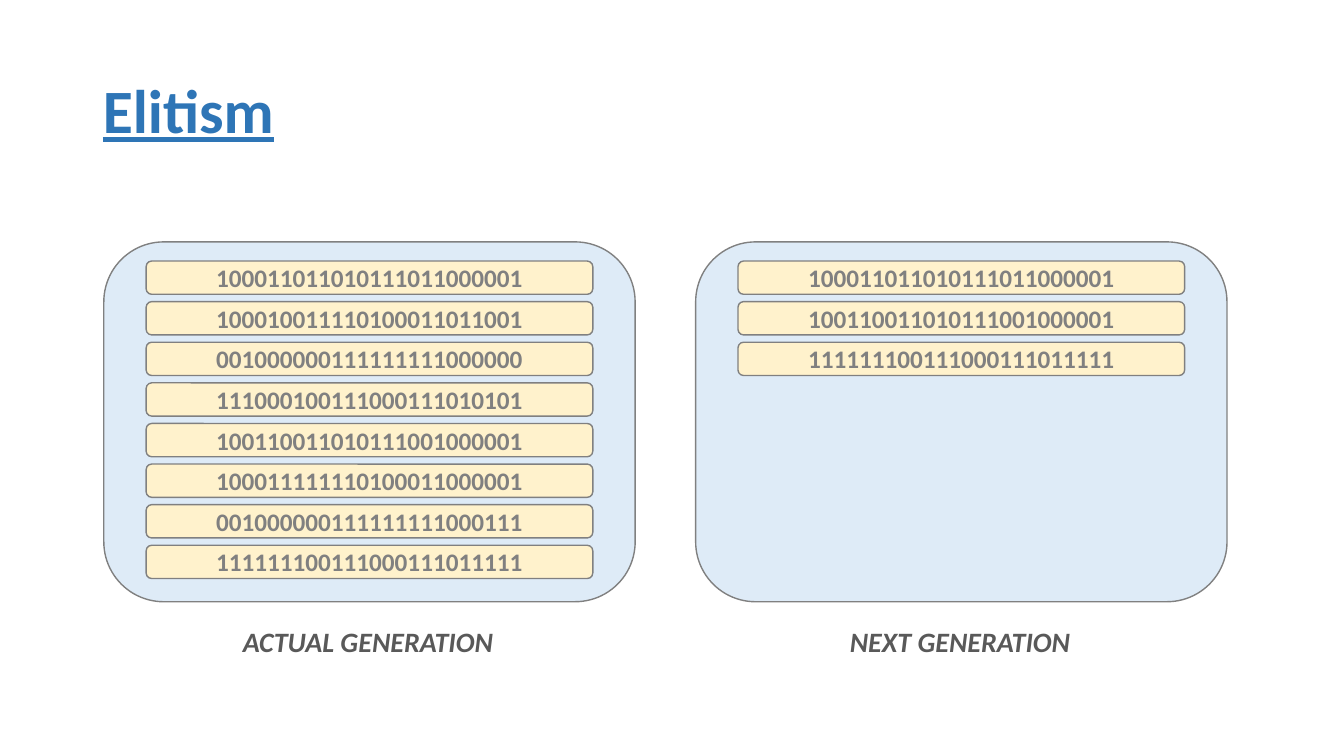
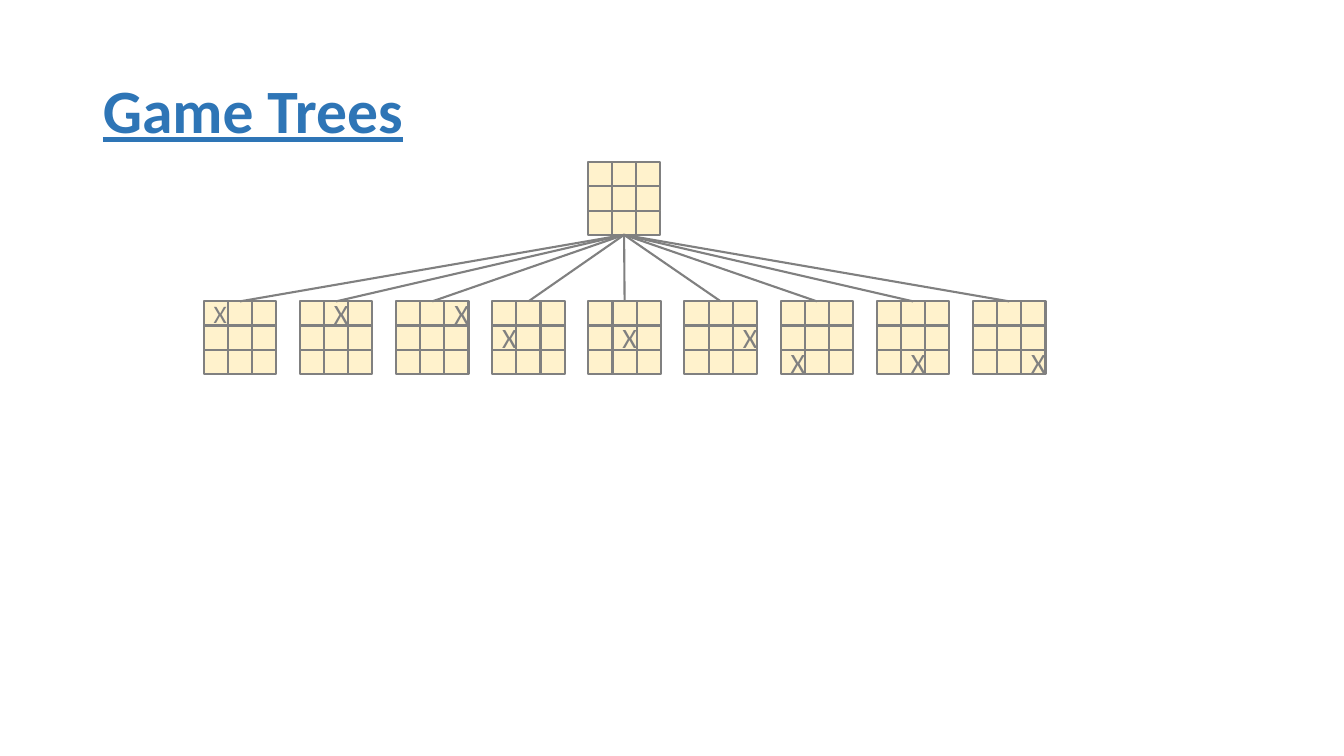
import pptx
import pptx.dml.color
import pptx.enum.shapes
import pptx.enum.text
import pptx.oxml.ns
import pptx.util
from lxml import etree

Inches = pptx.util.Inches
Pt = pptx.util.Pt
RGBColor = pptx.dml.color.RGBColor
Shape = pptx.enum.shapes.MSO_SHAPE
Align = pptx.enum.text.PP_ALIGN
Anchor = pptx.enum.text.MSO_ANCHOR
AutoSize = pptx.enum.text.MSO_AUTO_SIZE

# Shared style
FONT = "Calibri"
TITLE_BLUE = RGBColor(0x2E, 0x75, 0xB6)
PANEL_BLUE = RGBColor(0xDE, 0xEB, 0xF7)
CREAM = RGBColor(0xFF, 0xF2, 0xCC)
GRAY = RGBColor(0x80, 0x80, 0x80)
CAPTION_GRAY = RGBColor(0x59, 0x59, 0x59)

deck = pptx.Presentation()
deck.slide_width = Inches(13.33)
deck.slide_height = Inches(7.5)


def add_titled_page(text):
    page = deck.slides.add_slide(deck.slide_layouts[5])
    title = page.shapes.title
    title.left, title.top = Inches(0.92), Inches(0.4)
    title.width, title.height = Inches(11.5), Inches(1.45)
    frame = title.text_frame
    frame.auto_size = AutoSize.NONE
    frame.vertical_anchor = Anchor.MIDDLE
    para = frame.paragraphs[0]
    para.alignment = Align.LEFT
    para.line_spacing = 0.9
    span = para.add_run()
    span.text = text
    span.font.name = FONT
    span.font.size = Pt(44)
    span.font.bold = True
    span.font.underline = True
    span.font.color.rgb = TITLE_BLUE
    return page


def add_box(page, kind, left, top, width, height, fill, line_width,
            text="", size=18, bold=False):
    box = page.shapes.add_shape(
        kind, Inches(left), Inches(top), Inches(width), Inches(height))
    box.shadow.inherit = False
    box.fill.solid()
    box.fill.fore_color.rgb = fill
    box.line.color.rgb = GRAY
    box.line.width = Pt(line_width)
    if text:
        box.text_frame.vertical_anchor = Anchor.MIDDLE
        para = box.text_frame.paragraphs[0]
        para.alignment = Align.CENTER
        span = para.add_run()
        span.text = text
        span.font.name = FONT
        span.font.size = Pt(size)
        span.font.bold = bold
        span.font.color.rgb = GRAY


# Slide 1: two generations of bit strings
page = add_titled_page("Elitism")

PANEL_TOP, PANEL_WIDTH, PANEL_HEIGHT = 2.4, 5.27, 3.57
BAR_INDENT, BAR_TOP, BAR_WIDTH, BAR_HEIGHT = 0.42, 2.59, 4.43, 0.33
BAR_STEP = (5.41 - BAR_TOP) / 7

actual = [
    "100011011010111011000001",
    "100010011110100011011001",
    "001000000111111111000000",
    "111000100111000111010101",
    "100110011010111001000001",
    "100011111110100011000001",
    "001000000111111111000111",
    "111111100111000111011111",
]
survivors = [actual[0], actual[4], actual[7]]
generations = [
    (1.03, actual, "ACTUAL GENERATION", 2.71),
    (6.9, survivors, "NEXT GENERATION", 2.41),
]

for left, strings, caption, caption_width in generations:
    add_box(page, Shape.ROUNDED_RECTANGLE, left, PANEL_TOP,
            PANEL_WIDTH, PANEL_HEIGHT, PANEL_BLUE, 1)
    for row, bits in enumerate(strings):
        add_box(page, Shape.ROUNDED_RECTANGLE, left + BAR_INDENT,
                BAR_TOP + row * BAR_STEP, BAR_WIDTH, BAR_HEIGHT,
                CREAM, 1, bits, bold=True)

    # Caption centred under its panel
    caption_left = left + (PANEL_WIDTH - caption_width) / 2
    label = page.shapes.add_textbox(
        Inches(caption_left), Inches(6.15), Inches(caption_width), Inches(0.44))
    label.text_frame.word_wrap = False
    label.text_frame.auto_size = AutoSize.SHAPE_TO_FIT_TEXT
    span = label.text_frame.paragraphs[0].add_run()
    span.text = caption
    span.font.name = FONT
    span.font.size = Pt(20)
    span.font.bold = True
    span.font.italic = True
    span.font.color.rgb = CAPTION_GRAY

# Slide 2: empty board and its nine first moves
page = add_titled_page("Game Trees")

CELL = 0.24
ROOT_LEFT, ROOT_TOP = 5.83, 1.61
CHILD_LEFT, CHILD_TOP = 2.02, 2.99
CHILD_STEP = (9.65 - CHILD_LEFT) / 8

# Each board: left, top, index of the marked cell
boards = [(ROOT_LEFT, ROOT_TOP, None)]
boards += [(CHILD_LEFT + move * CHILD_STEP, CHILD_TOP, move) for move in range(9)]

for left, top, move in boards:
    for cell in range(9):
        row, column = divmod(cell, 3)
        add_box(page, Shape.RECTANGLE, left + column * CELL, top + row * CELL,
                CELL, CELL, CREAM, 1.5,
                "X" if cell == move else "", 18 if move == 0 else 20)

# Branches from the root to every child board
half_board = 1.5 * CELL
for left, top, move in boards[1:]:
    branch = page.shapes.add_connector(
        pptx.enum.shapes.MSO_CONNECTOR.STRAIGHT,
        Inches(ROOT_LEFT + half_board), Inches(ROOT_TOP + 3 * CELL),
        Inches(left + half_board), Inches(top))
    branch.line.color.rgb = GRAY
    branch.line.width = Pt(1.5)
    etree.SubElement(branch._element.spPr, pptx.oxml.ns.qn("a:effectLst"))

deck.save("out.pptx")
